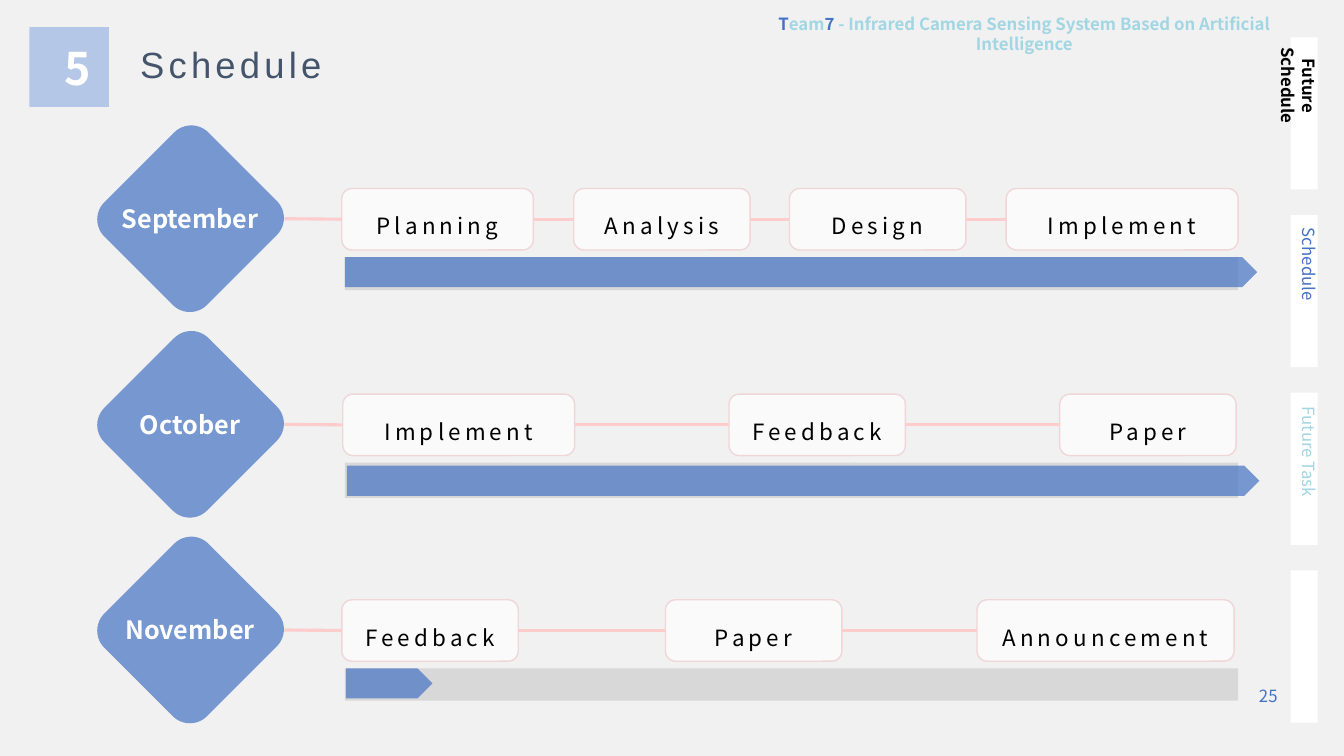
"""Build the project schedule slide: three months with task cards and progress arrows."""
from dataclasses import dataclass

from lxml.etree import SubElement
from pptx import Presentation
from pptx.dml.color import RGBColor
from pptx.enum.shapes import MSO_CONNECTOR, MSO_SHAPE
from pptx.enum.text import MSO_ANCHOR, MSO_AUTO_SIZE, PP_ALIGN
from pptx.oxml.ns import qn
from pptx.util import Inches, Pt


@dataclass(frozen=True)
class Theme:
    background: str = "F1F1F2"
    accent: str = "4472C4"
    pale_accent: str = "A1D6E2"
    badge: str = "B4C7E7"
    title: str = "44546A"
    track: str = "D0CECE"
    white: str = "FFFFFF"
    black: str = "000000"
    card_line: str = "F0D6D7"
    link: str = "FFCCCC"
    body_font: str = "Noto Sans CJK KR"
    title_font: str = "Arial"
    small: int = 12
    card: int = 16
    month: int = 18
    heading: int = 26
    number: int = 32
    opacity: int = 70


THEME = Theme()
SLIDE_SIZE = (13.33, 7.5)

TITLE = "Schedule"
SECTION_NUMBER = "5"
PAGE_NUMBER = "25"
HEADER = [
    ("T", THEME.accent),
    ("eam", THEME.pale_accent),
    ("7", THEME.accent),
    (" - Infrared Camera Sensing System Based on Artificial Intelligence", THEME.pale_accent),
]

MONTHS = [
    {
        "name": "September",
        "cards": [("Planning", 3.39, 1.9), ("Analysis", 5.69, 1.75),
                  ("Design", 7.83, 1.75), ("Implement", 9.98, 2.3)],
        "track_height": 0.33,
        "progress": (3.42, 0, 9.05),
    },
    {
        "name": "October",
        "cards": [("Implement", 3.4, 2.3), ("Feedback", 7.23, 1.75), ("Paper", 10.51, 1.75)],
        "track_height": 0.35,
        "progress": (3.44, 0.03, 9.05),
    },
    {
        "name": "November",
        "cards": [("Feedback", 3.39, 1.75), ("Paper", 6.6, 1.75), ("Announcement", 9.69, 2.55)],
        "track_height": 0.32,
        "progress": (3.43, 0, 0.86),
    },
]
ROW_TOP, ROW_PITCH = 1.44, 2.04
LABEL_OFFSET, CARD_OFFSET, TRACK_OFFSET = 0.53, 0.43, 1.11
CARD_HEIGHT, PROGRESS_HEIGHT = 0.61, 0.3

TABS = [
    ("Future Schedule", THEME.black, True, 0),
    ("Schedule", THEME.accent, False, 0.03),
    ("Future Task", THEME.pale_accent, False, 0.04),
    (None, None, False, 0),
]
TAB_TOP, TAB_PITCH, TAB_HEIGHT = 0.37, 1.763, 1.51


def add_text(shape, runs, size, bold=False, font_name=THEME.body_font,
             align=PP_ALIGN.CENTER, spacing=0):
    paragraph = shape.text_frame.paragraphs[0]
    paragraph.alignment = align
    for text, color in runs:
        run = paragraph.add_run()
        run.text = text
        run.font.name = font_name
        run.font.size = Pt(size)
        run.font.bold = bold
        run.font.color.rgb = RGBColor.from_string(color)
        if spacing:
            run.font._element.set("spc", str(spacing * 100))
    return paragraph


def add_block(slide, preset, box, color, opacity=100, line_color=None):
    shape = slide.shapes.add_shape(preset, *map(Inches, box))
    shape.shadow.inherit = False
    shape.fill.solid()
    shape.fill.fore_color.rgb = RGBColor.from_string(color)
    if opacity < 100:
        fill_color = next(shape._element.spPr.iter(qn("a:srgbClr")))
        SubElement(fill_color, qn("a:alpha")).set("val", str(opacity * 1000))
    if line_color:
        shape.line.color.rgb = RGBColor.from_string(line_color)
        shape.line.width = Pt(1)
    else:
        shape.line.fill.background()
    return shape


def add_label(slide, box, runs, size, vertical=False, **text_options):
    label = slide.shapes.add_textbox(*map(Inches, box))
    label.text_frame.word_wrap = True
    label.text_frame.auto_size = MSO_AUTO_SIZE.SHAPE_TO_FIT_TEXT
    if vertical:
        label.text_frame._txBody.bodyPr.set("vert", "eaVert")
    add_text(label, runs, size, **text_options)
    return label


def add_card(slide, name, left, top, width):
    card = add_block(slide, MSO_SHAPE.ROUNDED_RECTANGLE, (left, top, width, CARD_HEIGHT),
                     THEME.white, THEME.opacity, THEME.card_line)
    card.text_frame.vertical_anchor = MSO_ANCHOR.MIDDLE
    add_text(card, [(name, THEME.black)], THEME.card, spacing=3).line_spacing = 1.5
    return card


def link(slide, start, end):
    connector = slide.shapes.add_connector(MSO_CONNECTOR.STRAIGHT, 0, 0, 0, 0)
    connector.begin_connect(start, 3)
    connector.end_connect(end, 1)
    connector.line.color.rgb = RGBColor.from_string(THEME.link)
    connector.line.width = Pt(2.25)
    SubElement(connector._element.spPr, qn("a:effectLst"))


def add_month(slide, month, top):
    diamond = add_block(slide, MSO_SHAPE.ROUNDED_RECTANGLE, (1.17, top, 1.44, 1.46),
                        THEME.accent, THEME.opacity)
    diamond.rotation = 45
    label = add_label(slide, (0.95, top + LABEL_OFFSET, 1.87, 0.4),
                      [(month["name"], THEME.white)], THEME.month, bold=True)
    cards = [add_card(slide, name, left, top + CARD_OFFSET, width)
             for name, left, width in month["cards"]]
    for start, end in zip([label] + cards, cards):
        link(slide, start, end)
    track_top = top + TRACK_OFFSET
    add_block(slide, MSO_SHAPE.RECTANGLE, (3.42, track_top, 8.86, month["track_height"]),
              THEME.track, THEME.opacity)
    left, offset, width = month["progress"]
    add_block(slide, MSO_SHAPE.PENTAGON, (left, track_top + offset, width, PROGRESS_HEIGHT),
              THEME.accent, THEME.opacity)


def add_heading(slide):
    title = slide.shapes.title
    title.left, title.top, title.width, title.height = map(Inches, (1.29, 0.37, 2.03, 0.54))
    title.text_frame.word_wrap = False
    title.text_frame.auto_size = MSO_AUTO_SIZE.SHAPE_TO_FIT_TEXT
    title.text_frame.vertical_anchor = MSO_ANCHOR.TOP
    add_text(title, [(TITLE, THEME.title)], THEME.heading, font_name=THEME.title_font,
             align=PP_ALIGN.LEFT, spacing=3)
    add_block(slide, MSO_SHAPE.RECTANGLE, (0.29, 0.27, 0.79, 0.79), THEME.badge)
    add_label(slide, (0.54, 0.35, 0.28, 0.64), [(SECTION_NUMBER, THEME.white)],
              THEME.number, bold=True)
    add_label(slide, (7.14, 0.09, 6.04, 0.3), HEADER, THEME.small, bold=True)


def add_tabs(slide):
    for index, (text, color, bold, offset) in enumerate(TABS):
        top = TAB_TOP + index * TAB_PITCH
        add_block(slide, MSO_SHAPE.RECTANGLE, (12.8, top, 0.27, TAB_HEIGHT), THEME.white)
        if text:
            add_label(slide, (12.73, top + offset, 0.4, TAB_HEIGHT), [(text, color)],
                      THEME.small, vertical=True, bold=bold)


def main():
    presentation = Presentation()
    presentation.slide_width, presentation.slide_height = map(Inches, SLIDE_SIZE)
    slide = presentation.slides.add_slide(presentation.slide_layouts[5])
    slide.background.fill.solid()
    slide.background.fill.fore_color.rgb = RGBColor.from_string(THEME.background)
    add_heading(slide)
    for index, month in enumerate(MONTHS):
        add_month(slide, month, ROW_TOP + index * ROW_PITCH)
    add_tabs(slide)
    page = add_label(slide, (11.78, 6.7, 0.99, 0.4), [(PAGE_NUMBER, THEME.accent)],
                     THEME.small, align=PP_ALIGN.RIGHT)
    page.text_frame.auto_size = MSO_AUTO_SIZE.NONE
    page.text_frame.vertical_anchor = MSO_ANCHOR.MIDDLE
    presentation.save("out.pptx")


if __name__ == "__main__":
    main()
